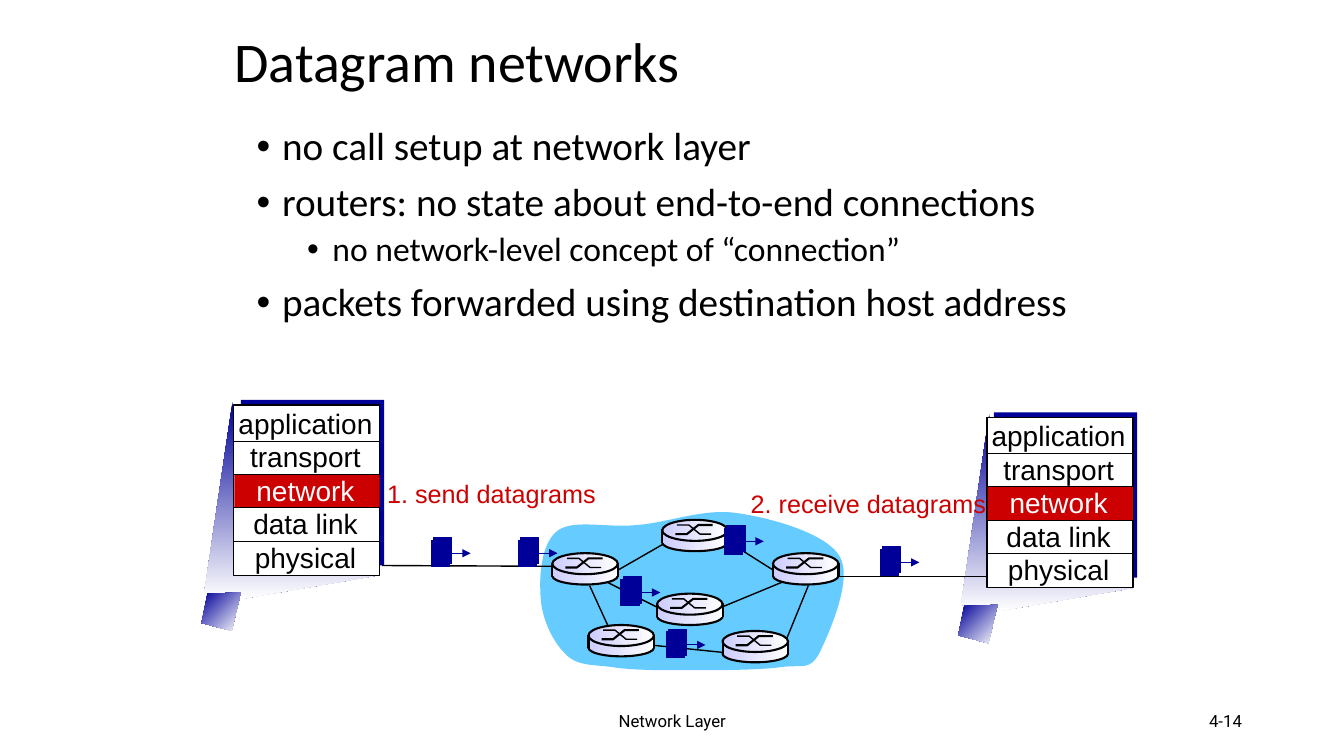
from lxml.etree import SubElement
from pptx import Presentation
from pptx.dml.color import RGBColor
from pptx.enum.shapes import MSO_CONNECTOR as Link, MSO_SHAPE as Preset
from pptx.enum.text import MSO_ANCHOR as Anchor, PP_ALIGN as Align
from pptx.oxml.ns import qn
from pptx.util import Cm, Pt

BLACK, WHITE, NAVY, RED = "000000", "FFFFFF", "000099", "CC0000"
SKY, LILAC = "66CCFF", "CCCCFF"


def color(code):
    return RGBColor.from_string(code)


def paint(shape, fill=None, line=None, weight=1):
    """Fill is a hex string, or (start, end, clockwise angle) for a gradient."""
    shape.shadow.inherit = False
    if fill is None:
        shape.fill.background()
    elif isinstance(fill, str):
        shape.fill.solid()
        shape.fill.fore_color.rgb = color(fill)
    else:
        shape.fill.gradient()
        shape.fill.gradient_angle = -fill[2] % 360
        for stop, code in zip(shape.fill.gradient_stops, fill):
            stop.color.rgb = color(code)
    if line:
        shape.line.color.rgb = color(line)
        shape.line.width = Pt(weight)
    else:
        shape.line.fill.background()


def add_block(page, preset, left, top, width, height, **style):
    shape = page.shapes.add_shape(preset, Cm(left), Cm(top), Cm(width), Cm(height))
    paint(shape, **style)


def add_outline(page, left, top, points, closed=True, **style):
    corners = [(Cm(left + x), Cm(top + y)) for x, y in points]
    builder = page.shapes.build_freeform(*corners[0], scale=1.0)
    builder.add_line_segments(corners[1:], close=closed)
    shape = builder.convert_to_shape()
    paint(shape, **style)
    return shape


def add_line(page, x1, y1, x2, y2, weight=1, code=BLACK, arrow=False):
    line = page.shapes.add_connector(Link.STRAIGHT, Cm(x1), Cm(y1), Cm(x2), Cm(y2))
    line.line.color.rgb = color(code)
    line.line.width = Pt(weight)
    if arrow:
        SubElement(line.line._get_or_add_ln(), qn("a:tailEnd"), type="triangle")
    SubElement(line._element.spPr, qn("a:effectLst"))


def add_frame(page, left, top, width, height, anchor=Anchor.TOP, wrap=True):
    box = page.shapes.add_textbox(Cm(left), Cm(top), Cm(width), Cm(height))
    box.text_frame.word_wrap = wrap
    box.text_frame.vertical_anchor = anchor
    return box.text_frame


def write(frame, text, size, font, code=BLACK, align=Align.LEFT, spacing=None,
          before=0, bullet_at=None):
    first = not frame.paragraphs[0].runs
    para = frame.paragraphs[0] if first else frame.add_paragraph()
    para.alignment = align
    if bullet_at is not None:
        props = para._p.get_or_add_pPr()
        props.set("marL", str(Cm(bullet_at)))
        props.set("indent", str(Cm(-0.64)))
        SubElement(props, qn("a:buFont"), typeface="Arial")
        SubElement(props, qn("a:buChar"), char="•")
    if spacing:
        para.line_spacing = spacing
    para.space_before = Pt(0 if first else before)
    span = para.add_run()
    span.text = text
    span.font.size, span.font.name = Pt(size), font
    span.font.color.rgb = color(code)


def add_heading(page, left, top, width, height):
    frame = add_frame(page, left, top, width, height, Anchor.MIDDLE)
    write(frame, "Datagram networks", 40, "Calibri", spacing=0.9)


def add_points(page, left, top, width, height):
    frame = add_frame(page, left, top, width, height)
    for level, text in [
        (0, "no call setup at network layer"),
        (0, "routers: no state about end-to-end connections"),
        (1, "no network-level concept of “connection”"),
        (0, "packets forwarded using destination host address"),
    ]:
        write(frame, text, 28 - 4 * level, "Calibri", spacing=0.9,
              before=10 - 5 * level, bullet_at=0.64 + 1.27 * level)


def add_footer(page, left, top, width, height, text, align):
    frame = add_frame(page, left, top, width, height, Anchor.MIDDLE)
    write(frame, text, 12, "Roboto", align=align)


def add_step(page, left, top, width, height, text):
    frame = add_frame(page, left, top, width, height, wrap=False)
    write(frame, text, 18, "Arial", RED, Align.CENTER)


def add_host(page, left, top, width, height, beam_shift=0):
    # Beam and foot of the computer behind the stack
    beam = [(-0.74, 4.72), (-0.03, -0.08), (0.2, 3.89), (3.51, 3.91),
            (3.63, 4.29), (0.2, 4.88)]
    foot = [(0.18, 4.72), (-0.66, 4.75), (-0.81, 5.49), (-0.05, 5.69)]
    for points, angle in [(beam, 90), (foot, 45)]:
        add_outline(page, left + beam_shift, top, points, fill=(NAVY, WHITE, angle))
    # Protocol stack
    row, first_rule = 0.84, 0.91
    add_block(page, Preset.RECTANGLE, left + 0.18, top - 0.13, width - 0.07,
              height - 0.12, fill=NAVY)
    add_block(page, Preset.RECTANGLE, left, top, width, height, fill=WHITE, line=BLACK)
    add_block(page, Preset.RECTANGLE, left + 0.02, top + first_rule + row,
              width - 0.02, row, fill=RED)
    frame = add_frame(page, left - 0.36, top - 0.1, width + 0.66, height + 0.21)
    for layer in ["application", "transport", "network", "data link", "physical"]:
        write(frame, layer, 20, "Arial", WHITE if layer == "network" else BLACK,
              Align.CENTER)
    for index in range(4):
        y = top + first_rule + index * row
        add_line(page, left, y, left + width, y, 0.75)


def add_cloud(page, left, top):
    # Each group of three points after the start is one curve
    points = [
        (0.03, 2.13),
        (0, 1.6), (0.08, 0.84), (0.48, 0.56),
        (0.89, 0.28), (1.73, 0.51), (2.46, 0.43),
        (3.23, 0.38), (4.14, 0), (4.98, 0.13),
        (5.84, 0.25), (7.24, 0.64), (7.57, 1.22),
        (7.92, 1.8), (7.29, 3.18), (7.06, 3.66),
        (6.81, 4.11), (6.65, 3.94), (6.1, 4.01),
        (5.54, 4.09), (4.42, 4.09), (3.71, 4.09),
        (3, 4.09), (2.34, 4.09), (1.83, 4.01),
        (1.32, 3.94), (0.94, 3.99), (0.64, 3.66),
        (0.33, 3.35), (0.03, 2.74), (0.03, 2.13),
    ]
    cloud = add_outline(page, left, top, points, fill=SKY)
    steps = cloud._element.xpath(".//a:lnTo")
    for start in range(0, len(steps), 3):
        curve = SubElement(steps[start].getparent(), qn("a:cubicBezTo"))
        steps[start].addprevious(curve)
        for step in steps[start:start + 3]:
            curve.append(step[0])
            step.getparent().remove(step)


def add_router(page, left, top, sides=(0, 1.65)):
    metal = (LILAC, WHITE, 0)
    add_block(page, Preset.OVAL, left, top + 0.36, 1.65, 0.43, fill=metal,
              line=BLACK, weight=1.5)
    add_block(page, Preset.RECTANGLE, left, top + 0.3, 1.65, 0.28, fill=metal)
    add_block(page, Preset.OVAL, left, top, 1.65, 0.53, fill=metal,
              line=BLACK, weight=1.5)
    rising = [(0.33, 0.36), (0.62, 0.36), (0.91, 0.13), (1.27, 0.13)]
    falling = [(0.37, 0.13), (0.67, 0.13), (0.95, 0.36), (1.23, 0.36)]
    for points, weight in [(rising, 1.5), (falling, 1)]:
        add_outline(page, left, top, points, closed=False, line=BLACK, weight=weight)
    for x in sides:
        add_line(page, left + x, top + 0.24, left + x, top + 0.59, 1.5)


def add_packet(page, left, top):
    for shift in (0.06, 0):
        add_block(page, Preset.RECTANGLE, left + shift, top - shift, 0.46, 0.66,
                  fill=NAVY, line=NAVY, weight=0.75)
    add_line(page, left + 0.43, top + 0.33, left + 0.99, top + 0.33, 0.75, NAVY, True)


def add_network(page, left, top):
    add_cloud(page, left, top)
    # Links between routers, then the two access links
    for x1, y1, x2, y2 in [
        (2.01, 1.55, 3.3, 0.81), (4.67, 0.79, 5.87, 1.55), (1.73, 1.88, 3.05, 2.54),
        (4.62, 2.49, 6.17, 1.85), (6.2, 3.38, 6.78, 1.96), (4.83, 3.66, 2.77, 3.45),
        (1.8, 3.12, 1.27, 1.96), (-3.96, 1.45, 0.41, 1.47), (11.28, 1.73, 7.49, 1.73),
    ]:
        add_line(page, left + x1, top + y1, left + x2, top + y2)
    for x, y in [(5.89, 1.14), (2.97, 2.16), (0.33, 1.14), (4.62, 3.1), (1.24, 2.95)]:
        add_router(page, left + x, top + y)
    add_router(page, left + 3.1, top + 0.3, sides=(0,))
    for x, y in [(-2.72, 0.81), (-0.53, 0.81), (4.67, 0.51), (3.2, 3.12),
                 (2.06, 1.8), (8.59, 1.04)]:
        add_packet(page, left + x, top + y)


def main():
    deck = Presentation()
    deck.slide_width, deck.slide_height = Cm(33.87), Cm(19.05)
    page = deck.slides.add_slide(deck.slide_layouts[6])
    add_footer(page, 11.23, 17.65, 11.43, 1.02, "Network Layer", Align.CENTER)
    add_footer(page, 23.93, 17.65, 7.62, 1.02, "4-14", Align.RIGHT)
    add_heading(page, 5.66, 0.38, 21.59, 2.49)
    add_points(page, 6.22, 3.07, 22.43, 6.32)
    add_host(page, 24.87, 10.52, 3.68, 4.29, beam_shift=0.09)
    add_host(page, 5.89, 10.21, 3.68, 4.29)
    add_network(page, 13.59, 12.8)
    add_step(page, 9.5, 11.94, 5.77, 1.02, "1. send datagrams")
    add_step(page, 18.67, 12.19, 6.43, 1.02, "2. receive datagrams")
    deck.save("out.pptx")


if __name__ == "__main__":
    main()
